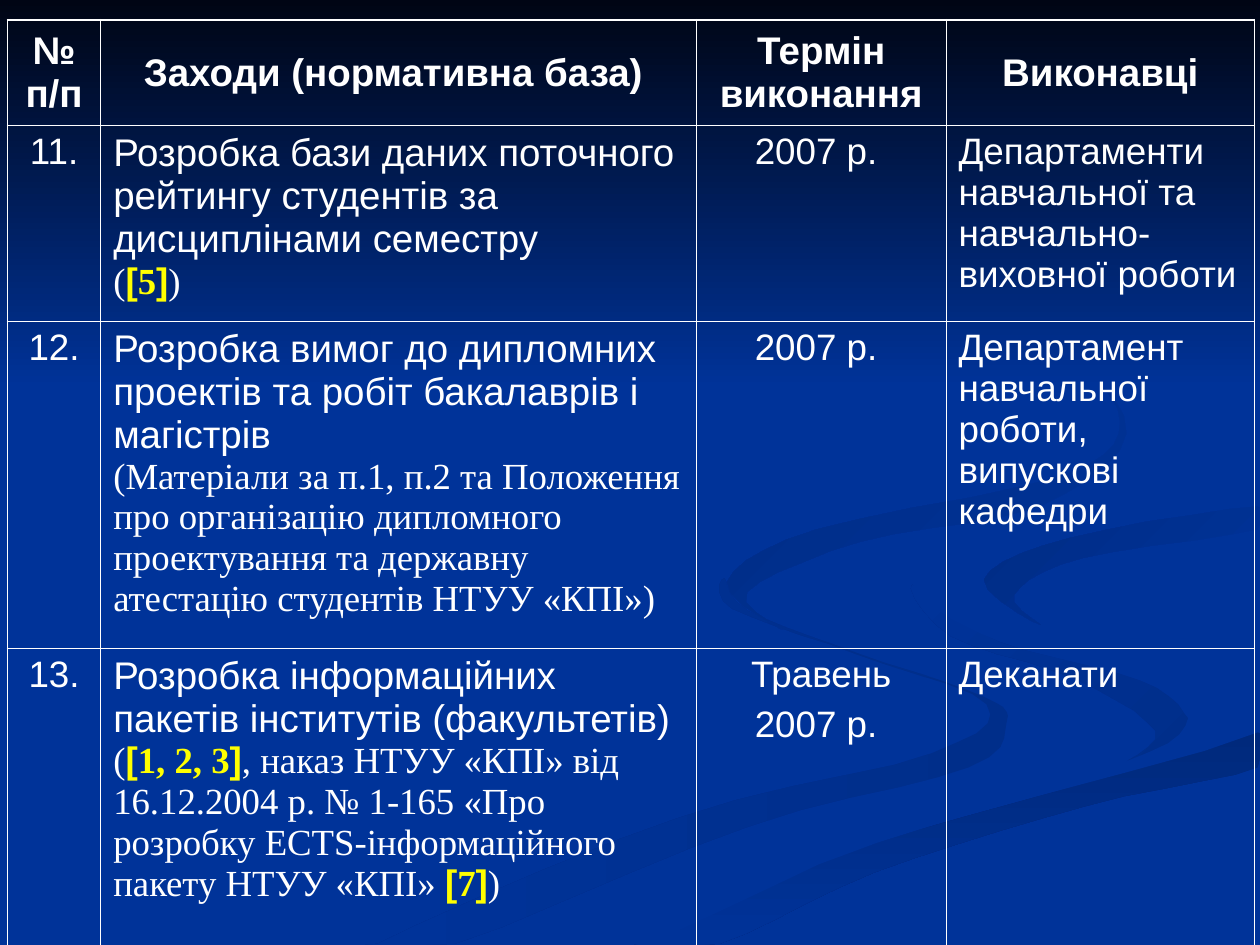
import pptx
import pptx.util
import pptx.dml.color
import pptx.enum.text
from lxml import etree
from pptx.oxml.ns import qn
from pptx.util import Cm, Pt

WHITE, YELLOW, BLUE = "FFFFFF", "FFFF00", "003399"

STYLES = {
    "head": ({"name": "Arial", "size": Pt(22), "bold": True}, WHITE),
    "main": ({"name": "Arial", "size": Pt(22), "bold": False}, WHITE),
    "plain": ({"name": "Arial", "size": Pt(21), "bold": False}, WHITE),
    "note": ({"name": "Times New Roman", "size": Pt(21), "bold": False}, WHITE),
    "bracket": ({"name": "Arial", "size": Pt(21), "bold": True}, YELLOW),
    "ref": ({"name": "Times New Roman", "size": Pt(21), "bold": True}, YELLOW),
}


def reference(numbers):
    """Runs of a highlighted source reference."""
    return [("[", "bracket"), (numbers, "ref"), ("]", "bracket")]


HEADINGS = ["№ п/п", "Заходи (нормативна база) ", "Термін виконання", "Виконавці"]
# number, runs of the measure (a line break separates measure and basis), terms, performers
MEASURES = [
    ("11.",
     [("Розробка бази даних поточного рейтингу студентів за дисциплінами семестру", "main"),
      (" \n", "plain"), ("(", "note"), *reference("5"), (")", "note")],
     ["2007 р. "],
     "Департаменти навчальної та навчально-виховної роботи"),
    ("12.",
     [("Розробка вимог до дипломних проектів та робіт бакалаврів і магістрів \n", "main"),
      ("(Матеріали за п.1, п.2 та Положення про організацію дипломного проектування "
       "та державну атестацію студентів НТУУ «КПІ»)", "note")],
     ["2007 р. "],
     "Департамент навчальної роботи, випускові кафедри"),
    ("13.",
     [("Розробка інформаційних пакетів інститутів (факультетів) \n", "main"),
      ("(", "note"), *reference("1, 2, 3"),
      (", наказ НТУУ «КПІ» від 16.12.2004 р. № 1-165 «Про розробку "
       "ECTS-інформаційного пакету НТУУ «КПІ» ", "note"),
      *reference("7"), (")", "note")],
     ["Травень", "2007 р. "],
     "Деканати"),
]
COLUMN_WIDTHS = [1.88, 12.01, 5.03, 6.22]
ROW_HEIGHTS = [2.13, 3.94, 6.6, 6.6]
CENTRED_COLUMNS = (0, 2)
OUTER, INNER = 1.08, 0.45

# start colour, end colour, clockwise angle, key points in hundredths of an inch
RIBBONS = [
    ("002E8A", BLUE, 180, [(781, 553), (682, 519), (594, 485), (575, 459), (581, 483), (679, 519),
                           (783, 559), (739, 598), (539, 649), (300, 749), (361, 749),
                           (594, 656), (769, 609), (799, 573)]),
    ("002E8A", BLUE, 225, [(943, 570), (905, 540), (792, 509), (724, 464), (755, 505),
                           (854, 539), (917, 580), (894, 605), (936, 587)]),
    ("00297C", BLUE, 90, [(503, 749), (571, 749), (695, 692), (861, 640), (998, 609),
                          (998, 581), (867, 620), (696, 669), (569, 719)]),
    (BLUE, BLUE, 0, [(725, 464), (793, 509), (905, 540), (943, 570), (892, 605), (704, 655),
                     (477, 749), (519, 747), (696, 669), (999, 581), (999, 538), (832, 498),
                     (781, 463), (850, 427), (999, 402), (999, 387), (788, 422)]),
    (BLUE, "002C85", 225, [(781, 460), (826, 496), (805, 472), (859, 443), (998, 420),
                           (998, 402), (849, 427)]),
    (BLUE, "002B81", 225, [(683, 430), (825, 402), (894, 344), (843, 275), (762, 233),
                           (846, 279), (889, 335), (842, 378), (649, 420), (577, 462),
                           (622, 500), (593, 470)]),
]
SKY = ("000514", BLUE, 90, [(0, 0), (0, 308), (1000, 308), (1000, 0)])
STEPS = 5


def rgb(value):
    return pptx.dml.color.RGBColor.from_string(value)


def smooth_outline(points):
    """Closed Catmull-Rom curve through the key points."""
    curve = []
    for i, here in enumerate(points):
        before, after, beyond = (points[(i + k) % len(points)] for k in (-1, 1, 2))
        for step in range(STEPS):
            t = step / STEPS
            curve.append(tuple(
                b + t / 2 * (c - a + t * (2 * a - 5 * b + 4 * c - d + t * (3 * (b - c) + d - a)))
                for a, b, c, d in zip(before, here, after, beyond)))
    return curve


def draw_gradient_area(slide, start, end, angle, outline):
    builder = slide.shapes.build_freeform(*outline[0], scale=Cm(2.54) / 100)
    builder.add_line_segments(outline[1:], close=True)
    area = builder.convert_to_shape()
    area.shadow.inherit = False
    area.line.fill.background()
    area.fill.gradient()
    area.fill.gradient_angle = (360 - angle) % 360
    for stop, colour in zip(area.fill.gradient_stops, (start, end)):
        stop.color.rgb = rgb(colour)


def draw_backdrop(slide):
    slide.background.fill.solid()
    slide.background.fill.fore_color.rgb = rgb(BLUE)
    for *gradient, points in RIBBONS:
        # Ribbons stay within the slide
        outline = [(min(x, 1000), min(y, 750)) for x, y in smooth_outline(points)]
        draw_gradient_area(slide, *gradient, outline)
    draw_gradient_area(slide, *SKY)


def write_cell(cell, paragraphs, centred):
    """Fill a cell with paragraphs, each a list of (text, style) runs."""
    align = pptx.enum.text.PP_ALIGN
    for index, runs in enumerate(paragraphs):
        paragraph = cell.text_frame.paragraphs[0] if index == 0 else cell.text_frame.add_paragraph()
        if index:
            paragraph.space_before = Pt(5.2)
        paragraph.alignment = align.CENTER if centred else align.LEFT
        for text, style in runs:
            font_values, colour = STYLES[style]
            run = paragraph.add_run()
            run.text = text.rstrip("\n")
            for name, value in font_values.items():
                setattr(run.font, name, value)
            run.font.color.rgb = rgb(colour)
            if text.endswith("\n"):
                paragraph.add_line_break()


def set_borders(cell, widths):
    """Draw white borders; widths are points for left, right, top and bottom."""
    properties = cell._tc.get_or_add_tcPr()
    for index, (side, width) in enumerate(zip("LRTB", widths)):
        border = etree.Element(qn(f"a:ln{side}"), w=str(int(Pt(width))))
        solid = etree.SubElement(border, qn("a:solidFill"))
        etree.SubElement(solid, qn("a:srgbClr"), val=WHITE)
        properties.insert(index, border)


def add_measures(slide):
    rows = [[[[(heading, "head")]] for heading in HEADINGS]]
    for number, measure, terms, performers in MEASURES:
        rows.append([[[(number, "plain")]], [measure],
                     [[(term, "plain")] for term in terms], [[(performers, "plain")]]])
    table = slide.shapes.add_table(len(rows), len(HEADINGS), Cm(0.15), Cm(0.4),
                                   Cm(sum(COLUMN_WIDTHS)), Cm(sum(ROW_HEIGHTS))).table
    table.first_row = table.horz_banding = False
    for column, width in zip(table.columns, COLUMN_WIDTHS):
        column.width = Cm(width)
    last_row, last_column = len(rows) - 1, len(HEADINGS) - 1
    anchor = pptx.enum.text.MSO_ANCHOR
    for r, row in enumerate(rows):
        table.rows[r].height = Cm(ROW_HEIGHTS[r])
        for c, paragraphs in enumerate(row):
            cell = table.cell(r, c)
            cell.fill.background()
            cell.vertical_anchor = anchor.MIDDLE if r == 0 else anchor.TOP
            write_cell(cell, paragraphs, r == 0 or c in CENTRED_COLUMNS)
            on_edge = (c == 0, c == last_column, r == 0, r == last_row)
            set_borders(cell, [OUTER if edge else INNER for edge in on_edge])


def main():
    deck = pptx.Presentation()
    deck.slide_width, deck.slide_height = Cm(25.4), Cm(19.05)
    slide = deck.slides.add_slide(deck.slide_layouts[6])
    draw_backdrop(slide)
    add_measures(slide)
    deck.save("out.pptx")


if __name__ == "__main__":
    main()
